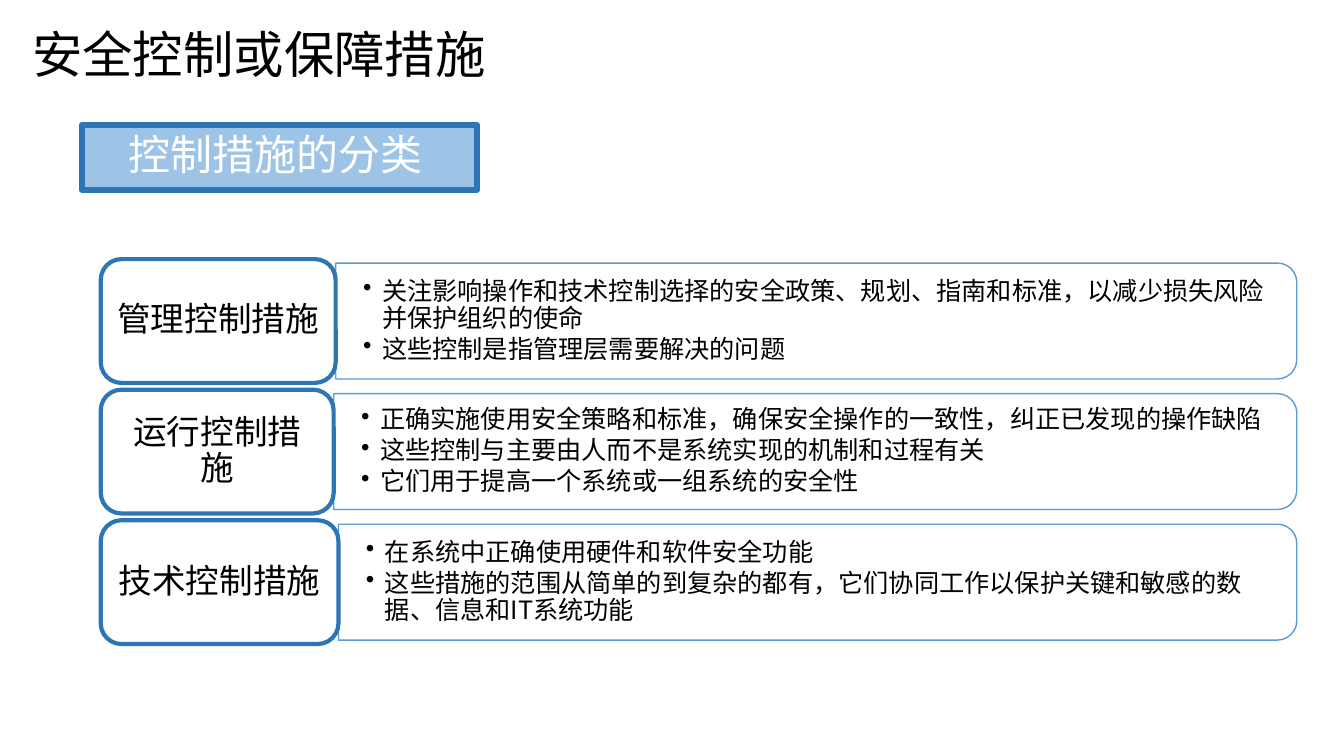
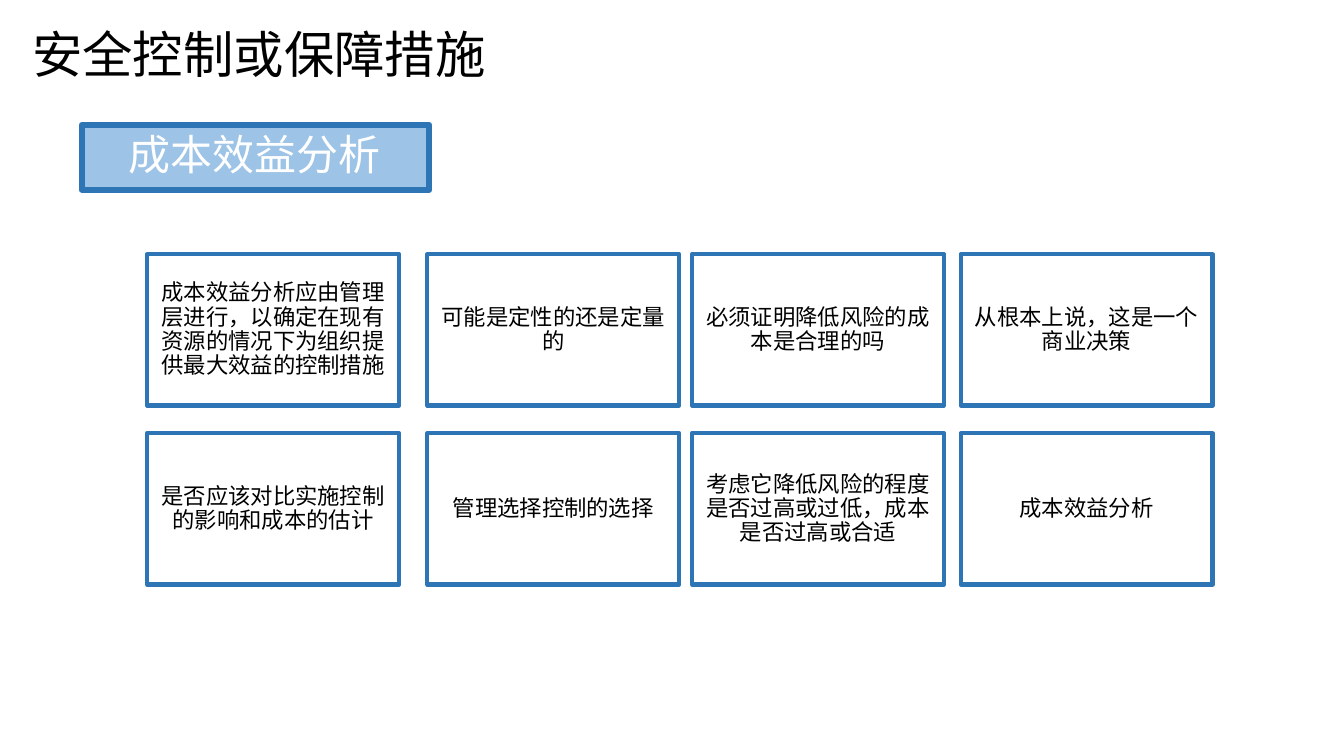
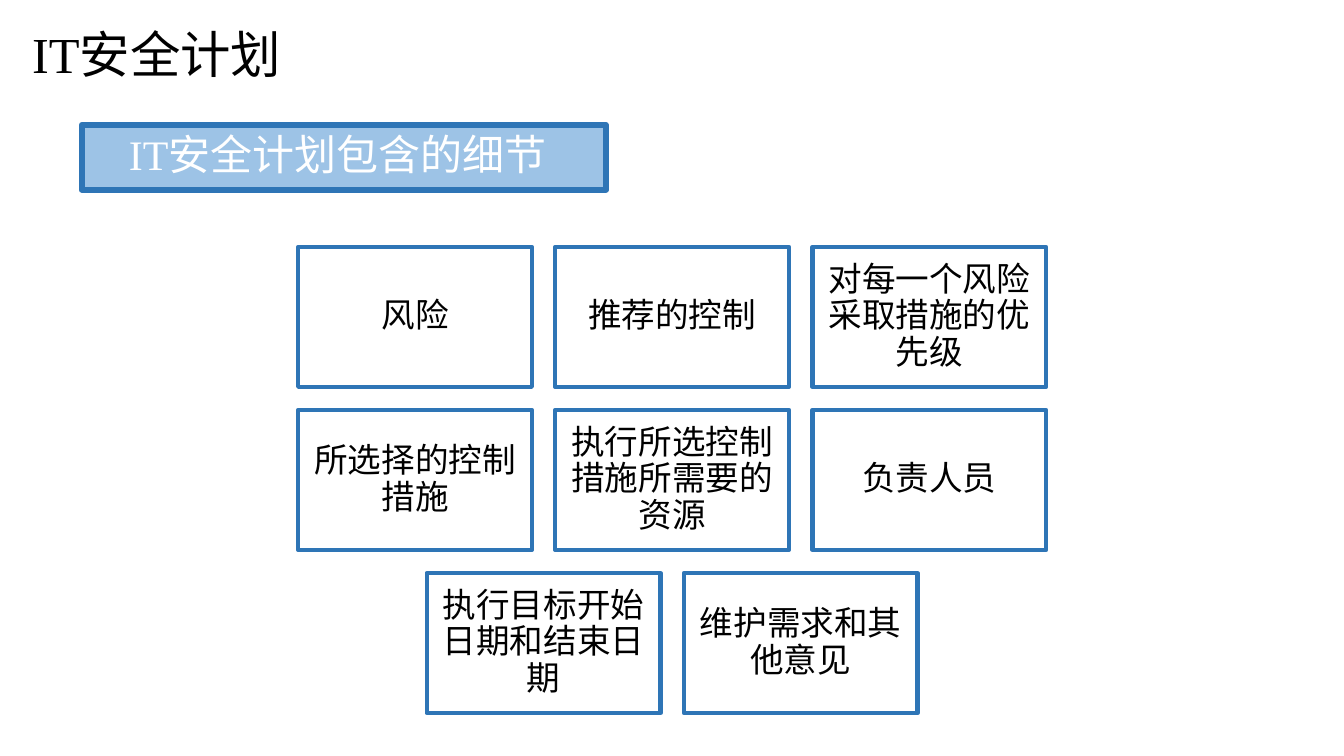
"""Build three slides on security controls and the IT security plan."""

from lxml.etree import SubElement
from pptx import Presentation
from pptx.dml.color import RGBColor
from pptx.enum.shapes import MSO_SHAPE
from pptx.enum.text import MSO_ANCHOR, PP_ALIGN
from pptx.oxml.ns import qn
from pptx.util import Cm, Pt

BLACK = RGBColor(0x00, 0x00, 0x00)
WHITE = RGBColor(0xFF, 0xFF, 0xFF)
DARK_BLUE = RGBColor(0x2E, 0x75, 0xB6)
MID_BLUE = RGBColor(0x5B, 0x9B, 0xD5)
PALE_BLUE = RGBColor(0x9D, 0xC3, 0xE6)
SANS = "Noto Sans CJK SC"
SERIF = "Times New Roman"

CONTROLS = [
    ("管理控制措施", 5.92, [
        "关注影响操作和技术控制选择的安全政策、规划、指南和标准，以减少损失风险并保护组织的使命",
        "这些控制是指管理层需要解决的问题",
    ]),
    ("运行控制措施", 5.87, [
        "正确实施使用安全策略和标准，确保安全操作的一致性，纠正已发现的操作缺陷",
        "这些控制与主要由人而不是系统实现的机制和过程有关",
        "它们用于提高一个系统或一组系统的安全性",
    ]),
    ("技术控制措施", 5.99, [
        "在系统中正确使用硬件和软件安全功能",
        "这些措施的范围从简单的到复杂的都有，它们协同工作以保护关键和敏感的数据、信息和IT系统功能",
    ]),
]
ANALYSIS_ROWS = [
    [
        "成本效益分析应由管理层进行，以确定在现有资源的情况下为组织提供最大效益的控制措施",
        "可能是定性的还是定量的",
        "必须证明降低风险的成本是合理的吗",
        "从根本上说，这是一个商业决策",
    ],
    [
        "是否应该对比实施控制的影响和成本的估计",
        "管理选择控制的选择",
        "考虑它降低风险的程度是否过高或过低，成本是否过高或合适",
        "成本效益分析",
    ],
]
PLAN_ROWS = [
    ["风险", "推荐的控制", "对每一个风险采取措施的优先级"],
    ["所选择的控制措施", "执行所选控制措施所需要的资源", "负责人员"],
    ["执行目标开始日期和结束日期", "维护需求和其他意见"],
]


def add_bullet(para):
    """Give a paragraph a hanging bullet."""
    properties = para._p.get_or_add_pPr()
    properties.set("marL", str(Cm(0.48)))
    properties.set("indent", str(-Cm(0.48)))
    SubElement(properties, qn("a:buChar"), char="•")


def write_text(box, *texts, size, color=BLACK, font=SANS, align=PP_ALIGN.LEFT,
               insets=(0.25, 0.13, 0.25, 0.13), spacing=0.9, after=0.35, bullet=False):
    """Fill a shape with one formatted paragraph per text."""
    frame = box.text_frame
    frame.word_wrap = True
    frame.vertical_anchor = MSO_ANCHOR.MIDDLE
    (frame.margin_left, frame.margin_top,
     frame.margin_right, frame.margin_bottom) = map(Cm, insets)
    for index, text in enumerate(texts):
        para = frame.add_paragraph() if index else frame.paragraphs[0]
        if bullet:
            add_bullet(para)
        para.alignment = align
        para.line_spacing = spacing
        para.space_after = Pt(size * after)
        span = para.add_run()
        span.text = text
        span.font.size = Pt(size)
        span.font.color.rgb = color
        span.font.name = font
        SubElement(span._r.get_or_add_rPr(), qn("a:ea"), typeface=SANS)


def add_text_box(page, left, top, width, height, *texts, **text_format):
    """Add a text box without outline."""
    box = page.shapes.add_textbox(Cm(left), Cm(top), Cm(width), Cm(height))
    write_text(box, *texts, **text_format)


def add_outlined_shape(page, kind, left, top, width, height,
                       fill=None, line=DARK_BLUE, weight=3):
    """Add a preset shape with a round-joined outline."""
    shape = page.shapes.add_shape(kind, Cm(left), Cm(top), Cm(width), Cm(height))
    shape.shadow.inherit = False
    if fill is None:
        shape.fill.background()
    else:
        shape.fill.solid()
        shape.fill.fore_color.rgb = fill
    shape.line.color.rgb = line
    shape.line.width = Pt(weight)
    SubElement(shape.element.spPr.find(qn("a:ln")), qn("a:round"))
    return shape


def add_page(deck, title, banner_text, banner_width, font=SANS):
    """Add a blank slide with the shared title and banner."""
    page = deck.slides.add_slide(deck.slide_layouts[6])
    add_text_box(page, 0.53, 0, 15.01, 2.69, title, size=36, font=font,
                 insets=(0.28, 0.15, 0.28, 0.15), spacing=1.0, after=0)
    banner = add_outlined_shape(page, MSO_SHAPE.RECTANGLE, 2.06, 3.15, banner_width, 1.63,
                                fill=PALE_BLUE, weight=4.33)
    write_text(banner, banner_text, size=30, color=WHITE, font=font,
               insets=(1.19, 0, 1.19, 0))
    return page


def add_control_row(page, top, label_text, label_width, points):
    """Add a rounded label and the panel of points at its right."""
    left, height, panel_height, text_height = 2.54, 3.12, 2.92, 2.64
    panel_left, panel_right, text_right = left + label_width, 32.68, 32.54
    middle = top + height / 2
    center = (panel_left + panel_right) / 2
    length = panel_right - panel_left
    panel = add_outlined_shape(page, MSO_SHAPE.ROUND_2_SAME_RECTANGLE,
                               center - panel_height / 2, middle - length / 2,
                               panel_height, length, fill=WHITE, line=MID_BLUE, weight=1)
    panel.rotation = 90
    add_text_box(page, panel_left, middle - text_height / 2,
                 text_right - panel_left, text_height, *points,
                 size=18, insets=(0.69, 0.36, 0.66, 0.36), after=0.15, bullet=True)
    label = add_outlined_shape(page, MSO_SHAPE.ROUNDED_RECTANGLE,
                               left, top, label_width, height)
    write_text(label, label_text, size=24, align=PP_ALIGN.CENTER)


def add_card(page, left, top, width, height, text, size, inset):
    """Add an outlined rectangle with centred text."""
    card = add_outlined_shape(page, MSO_SHAPE.RECTANGLE, left, top, width, height)
    write_text(card, text, size=size, align=PP_ALIGN.CENTER, insets=(inset,) * 4)


def build_controls(deck):
    """Build the slide on the classes of controls."""
    page = add_page(deck, "安全控制或保障措施", "控制措施的分类", 9.96)
    for index, control in enumerate(CONTROLS):
        add_control_row(page, 6.53 + 3.29 * index, *control)


def build_analysis(deck):
    """Build the slide on cost-benefit analysis."""
    page = add_page(deck, "安全控制或保障措施", "成本效益分析", 8.76)
    for top, texts in zip((6.41, 10.92), ANALYSIS_ROWS):
        for left, text in zip((3.71, 10.77, 17.44, 24.21), texts):
            add_card(page, left, top, 6.35, 3.81, text, 16, 0.18)


def build_plan(deck):
    """Build the slide on the security plan, with each row centred."""
    page = add_page(deck, "IT安全计划", "IT安全计划包含的细节", 13.21, font=SERIF)
    center, width, pitch = 16.94, 5.89, 6.48
    for row, texts in enumerate(PLAN_ROWS):
        start = center - ((len(texts) - 1) * pitch + width) / 2
        for column, text in enumerate(texts):
            add_card(page, start + column * pitch, 6.22 + 4.11 * row, width, 3.53,
                     text, 24, 0.25)


def main():
    """Build and save the deck."""
    deck = Presentation()
    deck.slide_width, deck.slide_height = Cm(33.87), Cm(19.05)
    build_controls(deck)
    build_analysis(deck)
    build_plan(deck)
    deck.save("out.pptx")


if __name__ == "__main__":
    main()
